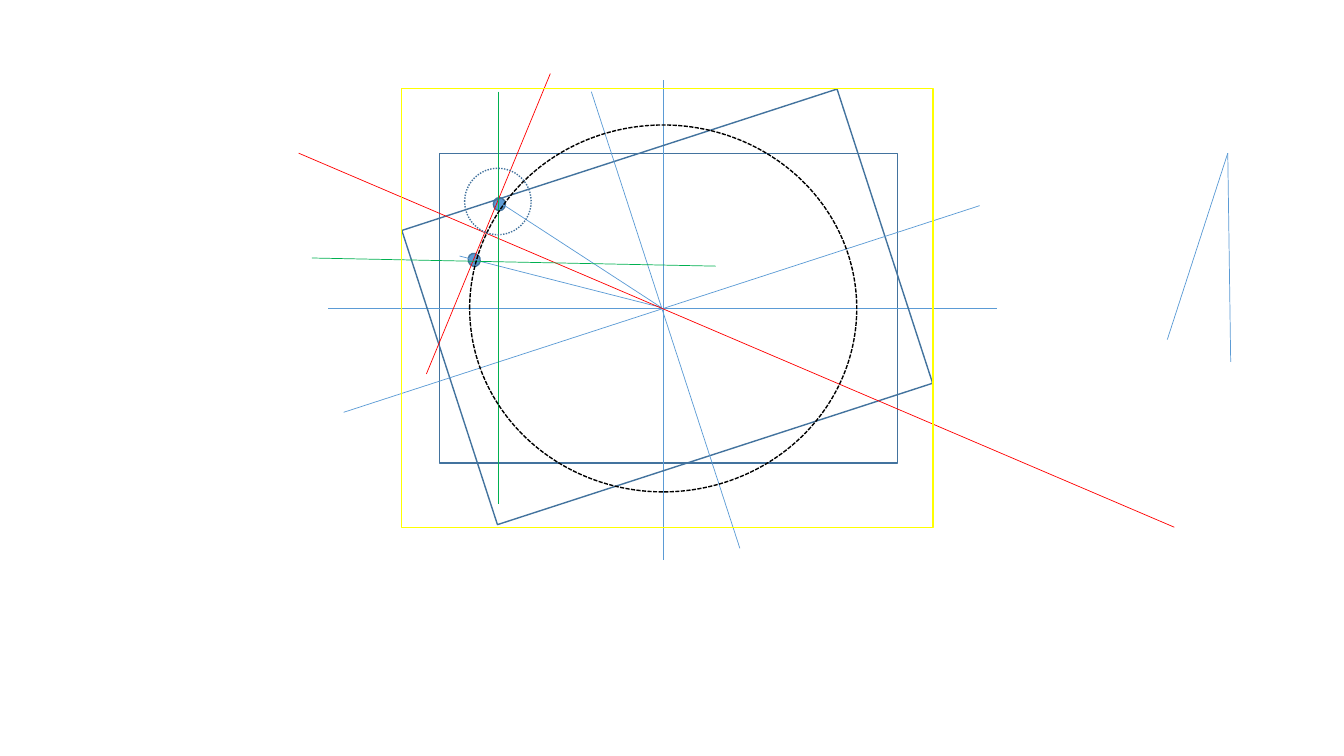
"""Draw a rectangle, its rotated twin, their axes and the circles around them."""
from dataclasses import dataclass
from typing import Optional, Union

import pptx
import pptx.dml.color
import pptx.enum.dml
import pptx.enum.shapes
import pptx.oxml.ns
import pptx.shapes.shapetree
import pptx.util
from lxml import etree

Pt = pptx.util.Pt
RGB = pptx.dml.color.RGBColor
DASH = pptx.enum.dml.MSO_LINE
RECT = pptx.enum.shapes.MSO_SHAPE.RECTANGLE
OVAL = pptx.enum.shapes.MSO_SHAPE.OVAL
STRAIGHT = pptx.enum.shapes.MSO_CONNECTOR.STRAIGHT
Shapes = Union[pptx.shapes.shapetree.SlideShapes, pptx.shapes.shapetree.GroupShapes]

BLUE = RGB(0x5B, 0x9B, 0xD5)
DARK_BLUE = RGB(0x43, 0x73, 0x9E)
RED = RGB(0xFF, 0x00, 0x00)
GREEN = RGB(0x00, 0xB0, 0x50)
BLACK = RGB(0x00, 0x00, 0x00)
YELLOW = RGB(0xFF, 0xFF, 0x00)

CENTRE = (472.3, 219.6)
APEX = (877, 109.4)


@dataclass(frozen=True)
class Outline:
    kind: pptx.enum.shapes.MSO_SHAPE
    box: tuple[float, float, float, float]
    color: RGB = DARK_BLUE
    fill: Optional[RGB] = None
    rotation: float = 0
    dash: Optional[DASH] = None


@dataclass(frozen=True)
class Segment:
    start: tuple[float, float]
    end: tuple[float, float]
    color: RGB = BLUE


UPRIGHT = [
    Outline(RECT, (314, 109.7, 327.1, 221)),
    Outline(OVAL, (352.4, 141.1, 8.6, 9.4), fill=BLUE),
    Segment((234.5, 220.3), (712.1, 220.3)),
    Segment((473.5, 57.4), (473.5, 400.3)),
]
ROTATED = [
    Outline(RECT, (313.2, 108.7, 326.9, 221), rotation=342),
    Outline(OVAL, (334.4, 180.9, 8.6, 9.4), fill=BLUE, rotation=342),
    Segment((245.5, 294.5), (699.8, 146.9)),
    Segment((422.4, 65.5), (528.5, 391.7)),
]
RADII = [
    Segment((328.3, 182.9), CENTRE),
    Segment(CENTRE, (355, 143.3)),
]
ANGLE = [
    Segment((879.1, 258.5), APEX),
    Segment(APEX, (833.8, 242.6)),
]
CONSTRUCTION = [
    Segment((213.3, 109.4), (838.8, 376.6), RED),
    Segment((393.1, 52.6), (304.6, 267.1), RED),
    Segment((355.7, 65.5), (355.7, 360), GREEN),
    Segment((222.7, 184.3), (511.3, 190.1), GREEN),
    Outline(OVAL, (335.5, 89.3, 276.5, 262.1), BLACK, dash=DASH.SQUARE_DOT),
    Outline(OVAL, (331.9, 120.2, 47.5, 47.5), dash=DASH.ROUND_DOT),
    Outline(RECT, (287, 63.4, 379.4, 313.2), YELLOW),
]


def draw_outline(shapes: Shapes, item: Outline) -> None:
    """Add a rectangle or ellipse."""
    sp = shapes.add_shape(item.kind, *map(Pt, item.box))
    sp.shadow.inherit = False
    sp.rotation = item.rotation
    if item.fill is None:
        sp.fill.background()
    else:
        sp.fill.solid()
        sp.fill.fore_color.rgb = item.fill
    sp.line.color.rgb = item.color
    sp.line.width = Pt(1)
    if item.dash is not None:
        sp.line.dash_style = item.dash


def draw_segment(shapes: Shapes, item: Segment) -> None:
    """Add a thin straight line."""
    cxn = shapes.add_connector(STRAIGHT, *map(Pt, item.start + item.end))
    cxn.line.color.rgb = item.color
    cxn.line.width = Pt(0.5)
    etree.SubElement(cxn._element.spPr, pptx.oxml.ns.qn("a:effectLst"))


def draw(shapes: Shapes, items: list[Union[Outline, Segment]]) -> None:
    """Add every item in order from back to front."""
    for item in items:
        if isinstance(item, Outline):
            draw_outline(shapes, item)
        else:
            draw_segment(shapes, item)


def main() -> None:
    """Build and save the slide."""
    prs = pptx.Presentation()
    prs.slide_width, prs.slide_height = Pt(960), Pt(540)
    s = prs.slides.add_slide(prs.slide_layouts[6])
    for items in (UPRIGHT, ROTATED, RADII, ANGLE):
        draw(s.shapes.add_group_shape().shapes, items)
    draw(s.shapes, CONSTRUCTION)
    prs.save("out.pptx")


if __name__ == "__main__":
    main()
